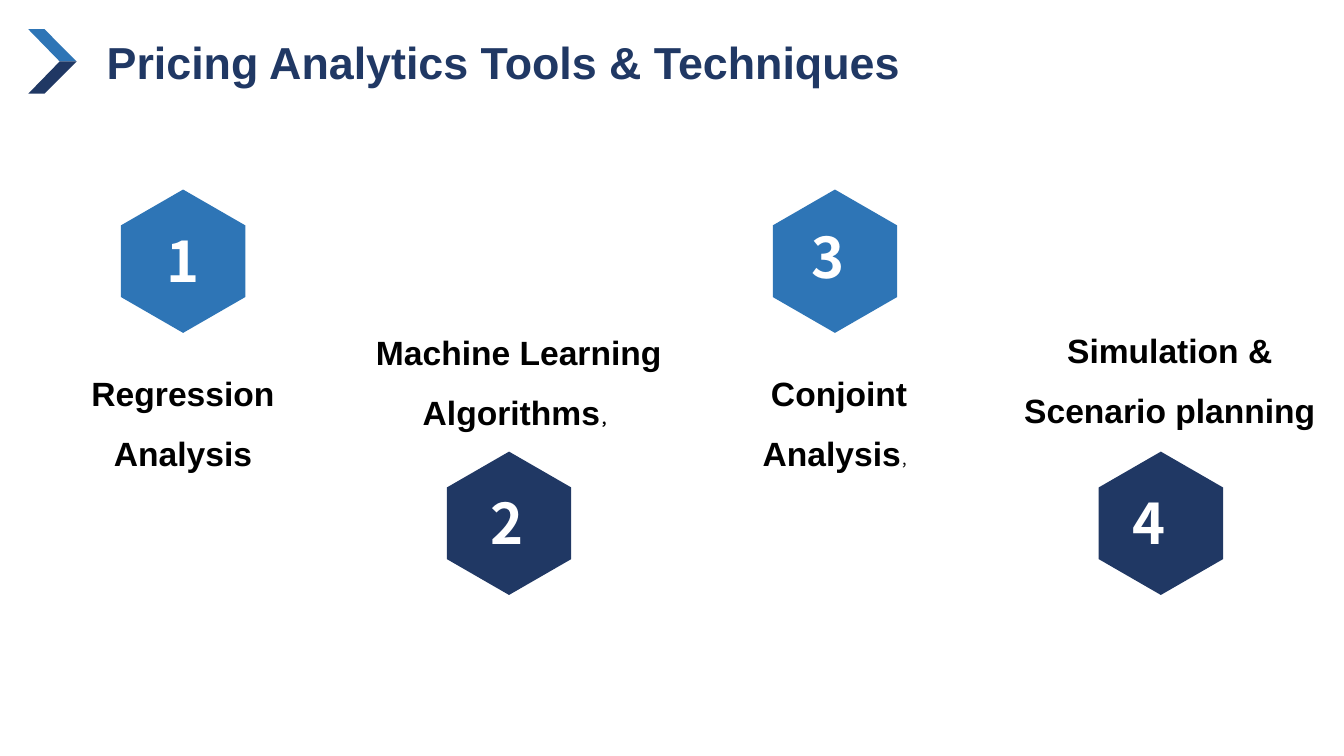
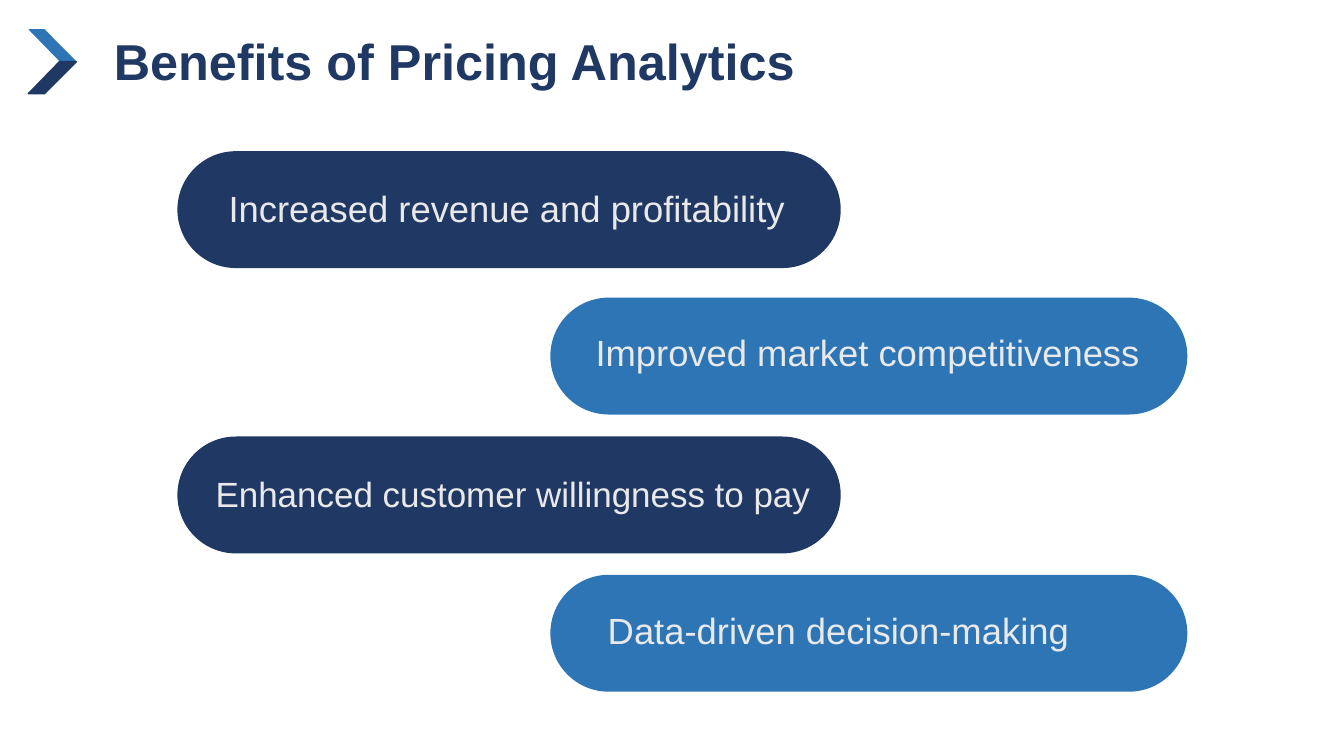
from dataclasses import dataclass

from pptx import Presentation
from pptx.dml.color import RGBColor
from pptx.enum.shapes import MSO_SHAPE
from pptx.enum.text import PP_ALIGN
from pptx.util import Pt

ROUNDED = MSO_SHAPE.ROUNDED_RECTANGLE
LEFT = PP_ALIGN.LEFT
CENTER = PP_ALIGN.CENTER


@dataclass(frozen=True)
class Theme:
    navy: str = "203864"
    blue: str = "2E75B6"
    black: str = "000000"
    white: str = "FFFFFF"
    pale: str = "E9E9E9"
    font: str = "Arial"
    number_font: str = "Noto Sans CJK SC"
    number_size: float = 40
    caption_size: float = 24
    comma_size: float = 10.5
    benefit_size: float = 26


THEME = Theme()

HEXAGON_LEFT, HEXAGON_PITCH = 86.4, 232.8
HEXAGON_WIDTH, HEXAGON_HEIGHT = 88.8, 102.4
HEXAGON_TOPS = (135.4, 322.6)
ROW_COLORS = (THEME.blue, THEME.navy)

TOOLS = [
    ("Regression Analysis", "", False, (54.7, 248.4, 152, 89.3), (111.6, 158.4)),
    ("Machine Learning Algorithms", "，", True, (254.2, 218.9, 232.6, 89.3), (343.4, 345.6)),
    ("Conjoint Analysis", "，", False, (523.4, 248.4, 152, 89.3), (572.4, 155.5)),
    ("Simulation & Scenario planning", "", False, (719.3, 217.4, 232.6, 89.3), (802.1, 345.6)),
]

PILL_HEIGHT = 83.5
PILL_COLUMNS = ((126.7, 473.8, THEME.navy), (393.1, 455, THEME.blue))

BENEFITS = [
    ("Increased revenue and profitability", 108, (156.2, 129.6, 416.2, 38.9), THEME.benefit_size),
    ("Improved market competitiveness", 212.6, (418.3, 232.6, 436.3, 38.9), THEME.benefit_size),
    ("Enhanced customer willingness to pay", 311.8, (146.9, 334.1, 473.8, 38.9), 25),
    ("Data-driven decision-making", 410.6, (427, 430.6, 347, 38.9), THEME.benefit_size),
]


def paint(shape, color, outline=0):
    shape.shadow.inherit = False
    shape.fill.solid()
    shape.fill.fore_color.rgb = RGBColor.from_string(color)
    if outline:
        shape.line.color.rgb = RGBColor.from_string(color)
        shape.line.width = Pt(outline)
    else:
        shape.line.fill.background()


def add_span(para, text, *, size, color, font, bold):
    span = para.add_run()
    span.text = text
    span.font.size = Pt(size)
    span.font.name = font
    span.font.bold = bold
    span.font.color.rgb = RGBColor.from_string(color)


def add_text(page, frame, text, *, size, color, font=THEME.font, bold=False,
             align=LEFT, spacing=1.0, suffix="", suffix_bold=False):
    box = page.shapes.add_textbox(*map(Pt, frame))
    box.text_frame.word_wrap = True
    para = box.text_frame.paragraphs[0]
    para.alignment = align
    para.line_spacing = spacing
    add_span(para, text, size=size, color=color, font=font, bold=bold)
    if suffix:
        add_span(para, suffix, size=THEME.comma_size, color=color, font=font, bold=suffix_bold)


def add_polygon(page, points, color, outline=0):
    start, *rest = [(Pt(x), Pt(y)) for x, y in points]
    builder = page.shapes.build_freeform(*start)
    builder.add_line_segments(rest, close=True)
    paint(builder.convert_to_shape(), color, outline)


def add_chevron(page, lower_outline):
    tip = 43.9
    for outer, color, outline in ((20.9, THEME.blue, 0), (66.9, THEME.navy, lower_outline)):
        points = [(20.2, outer), (31.8, outer), (54.7, tip), (42.6, tip)]
        add_polygon(page, points, color, outline)


def add_hexagon(page, left, top, color):
    middle, right = left + HEXAGON_WIDTH / 2, left + HEXAGON_WIDTH
    shoulder, bottom = top + HEXAGON_HEIGHT / 4, top + HEXAGON_HEIGHT
    hip = bottom - HEXAGON_HEIGHT / 4
    points = [(left, shoulder), (middle, top), (right, shoulder),
              (right, hip), (middle, bottom), (left, hip)]
    add_polygon(page, points, color)


def add_pill(page, left, top, width, color):
    pill = page.shapes.add_shape(ROUNDED, Pt(left), Pt(top), Pt(width), Pt(PILL_HEIGHT))
    pill.adjustments[0] = 0.5
    paint(pill, color)


def add_page(deck, title, frame, *, size, lower_outline=0):
    page = deck.slides.add_slide(deck.slide_layouts[6])
    add_chevron(page, lower_outline)
    add_text(page, frame, title, size=size, color=THEME.navy, bold=True)
    return page


def build_tools(deck):
    page = add_page(deck, "Pricing Analytics Tools & Techniques",
                    (69.1, 20.9, 603.4, 46), size=32)
    for index, (caption, suffix, suffix_bold, frame, number_at) in enumerate(TOOLS):
        row = index % 2
        add_hexagon(page, HEXAGON_LEFT + index * HEXAGON_PITCH, HEXAGON_TOPS[row], ROW_COLORS[row])
        add_text(page, frame, caption, size=THEME.caption_size, color=THEME.black, bold=True,
                 align=CENTER, spacing=1.5, suffix=suffix, suffix_bold=suffix_bold)
        add_text(page, (*number_at, 54.7, 55.4), str(index + 1), size=THEME.number_size,
                 color=THEME.white, font=THEME.number_font, bold=True)


def build_benefits(deck):
    page = add_page(deck, "Benefits of Pricing Analytics",
                    (74.2, 18, 532, 51), size=36, lower_outline=1)
    for index, (benefit, top, frame, size) in enumerate(BENEFITS):
        left, width, color = PILL_COLUMNS[index % 2]
        add_pill(page, left, top, width, color)
        add_text(page, frame, benefit, size=size, color=THEME.pale)


def main():
    deck = Presentation()
    deck.slide_width, deck.slide_height = Pt(960), Pt(540)
    build_tools(deck)
    build_benefits(deck)
    deck.save("out.pptx")


if __name__ == "__main__":
    main()
